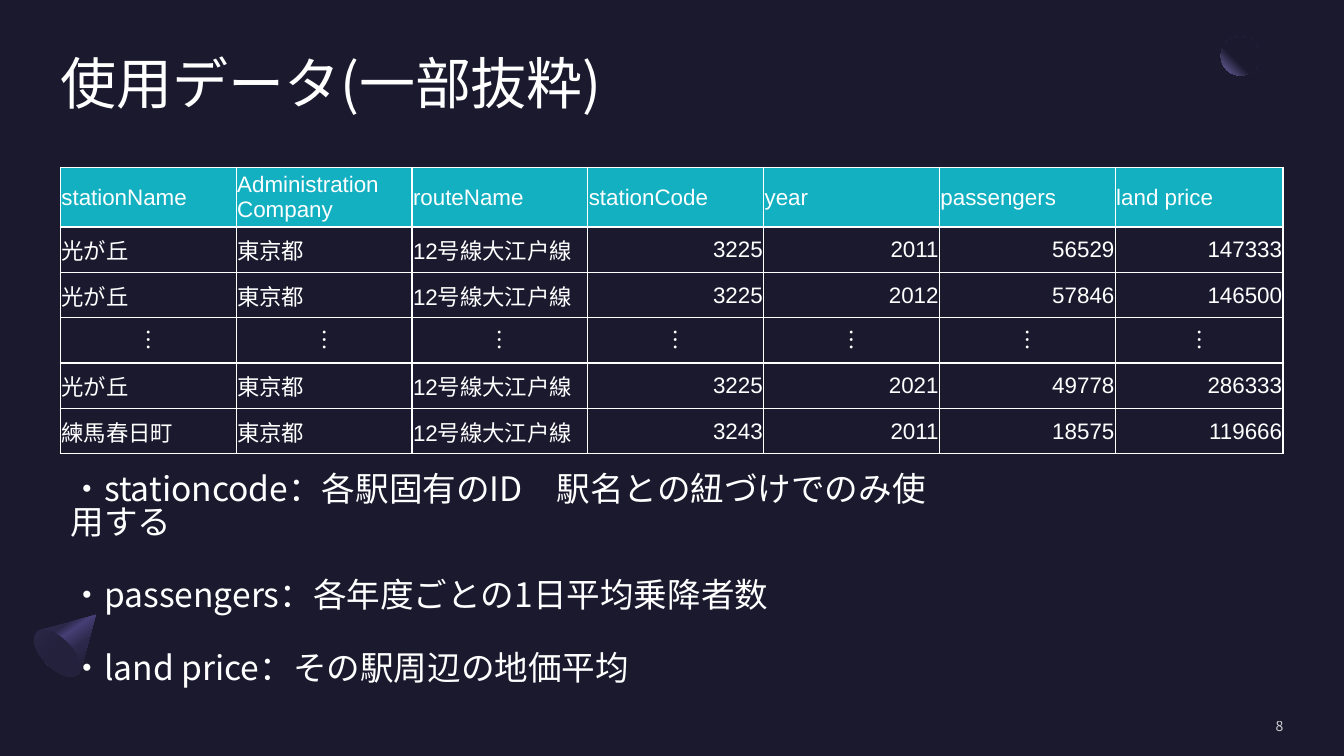
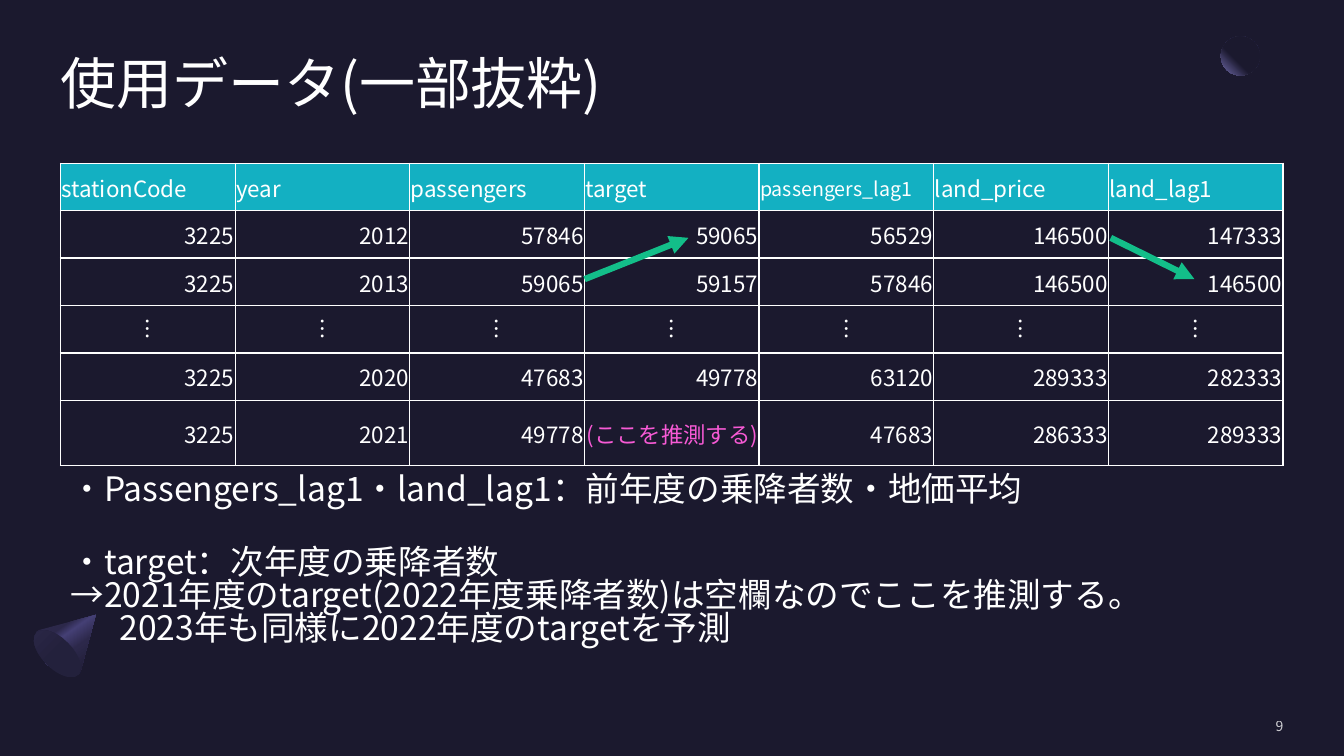
import dataclasses

import lxml.etree
import pptx
import pptx.dml.color
import pptx.enum.shapes
import pptx.enum.text
import pptx.oxml.ns
import pptx.util

Pt = pptx.util.Pt
qn = pptx.oxml.ns.qn
ALIGN = pptx.enum.text.PP_ALIGN
ANCHOR = pptx.enum.text.MSO_ANCHOR
SHAPE = pptx.enum.shapes.MSO_SHAPE
ELLIPSIS = "︙"


@dataclasses.dataclass(frozen=True)
class Theme:
    background: str = "1B192E"
    text: str = "FFFFFF"
    header: str = "13B0C2"
    accent: str = "F75AD5"
    arrow: str = "13BE89"
    glow: str = "7771B2"
    cone_light: str = "454075"
    cone_dark: str = "2C284A"
    cone_base: str = "23213C"
    font: str = "Noto Sans CJK JP"
    table_font: str = "Arial"
    title_size: int = 40
    body_size: int = 24
    table_size: int = 16
    small_table_size: int = 14
    number_size: int = 10
    left: float = 43.2
    width: float = 873.4


def rgb(value):
    return pptx.dml.color.RGBColor.from_string(value)


def assign(target, values):
    for name, value in values.items():
        setattr(target, name, value)


def add_node(parent, tag, **attributes):
    node = lxml.etree.SubElement(parent, qn(tag))
    for name, value in attributes.items():
        node.set(name, str(value))
    return node


class SlideBuilder:
    def __init__(self, theme):
        self.theme = theme
        self.deck = pptx.Presentation()
        assign(self.deck, {"slide_width": Pt(960), "slide_height": Pt(540)})
        self.layout = self.deck.slide_layouts[1]
        self.page = None

    def open_page(self, title, number):
        first = self.page is None
        self.page = self.deck.slides.add_slide(self.layout)
        if first:
            self.decorate_layout()
        self.add_title(title)
        self.add_number(number)

    def decorate_layout(self):
        theme = self.theme
        fill = self.layout.background.fill
        fill.solid()
        fill.fore_color.rgb = rgb(theme.background)
        shapes = self.page.shapes

        moon = shapes.add_shape(SHAPE.OVAL, Pt(872), Pt(26), Pt(28), Pt(28))
        self.paint_gradient(moon, [(60, theme.background), (100, theme.glow)])

        outline = [(68.4, 439.2), (57.6, 479.5), (56.2, 481.7), (46.3, 482.6),
                   (33.1, 474.5), (24.9, 461.3), (25.9, 451.4), (28.1, 450)]
        points = [(Pt(x), Pt(y)) for x, y in outline]
        builder = shapes.build_freeform(*points[0])
        builder.add_line_segments(points[1:], close=True)
        cone = builder.convert_to_shape()
        self.paint_gradient(cone, [(30, theme.cone_dark), (40, theme.cone_light),
                                   (60, theme.cone_dark), (100, theme.background)], 55)

        base = shapes.add_shape(SHAPE.OVAL, Pt(30.2), Pt(445.7), Pt(21.6), Pt(42.5))
        base.rotation = 135
        self.paint_gradient(base, [(50, theme.cone_base), (100, theme.cone_dark)], 90)

        for identifier, shape in enumerate((moon, cone, base), start=20):
            shape.element.nvSpPr.cNvPr.set("id", str(identifier))
            self.layout.shapes.element.append(shape.element)

    def paint_gradient(self, shape, stops, angle=None):
        shape.shadow.inherit = False
        shape.line.fill.background()
        shape.fill.background()
        properties = shape.element.spPr
        empty = properties.find(qn("a:noFill"))
        gradient = lxml.etree.Element(qn("a:gradFill"), rotWithShape="1")
        properties.replace(empty, gradient)
        stop_list = add_node(gradient, "a:gsLst")
        for position, color in stops:
            stop = add_node(stop_list, "a:gs", pos=position * 1000)
            add_node(stop, "a:srgbClr", val=color)
        if angle is None:
            radial = add_node(gradient, "a:path", **{"path": "circle"})
            add_node(radial, "a:fillToRect", l=100000, b=100000)
        else:
            add_node(gradient, "a:lin", ang=angle * 60000, scaled=0)

    def place(self, box, left, top, width, height):
        assign(box, {"left": Pt(left), "top": Pt(top),
                     "width": Pt(width), "height": Pt(height)})

    def format_frame(self, frame, anchor, inset=None):
        values = {"word_wrap": True, "vertical_anchor": anchor,
                  "auto_size": pptx.enum.text.MSO_AUTO_SIZE.NONE}
        if inset is not None:
            sides = ("left", "top", "right", "bottom")
            values.update({f"margin_{side}": Pt(inset) for side in sides})
        assign(frame, values)

    def format_span(self, span, size, color=None, font=None):
        assign(span.font, {"size": Pt(size), "name": font or self.theme.font})
        span.font.color.rgb = rgb(color or self.theme.text)
        latin = span.font._element.find(qn("a:latin"))
        east_asian = lxml.etree.Element(qn("a:ea"), typeface=self.theme.font)
        latin.addnext(east_asian)

    def add_title(self, text):
        box = self.page.shapes.title
        self.place(box, self.theme.left, 40.3, self.theme.width, 105)
        frame = box.text_frame
        frame.text = text
        self.format_frame(frame, ANCHOR.TOP, 0)
        para = frame.paragraphs[0]
        assign(para, {"alignment": ALIGN.LEFT, "line_spacing": 0.9})
        self.format_span(para.runs[0], self.theme.title_size)

    def add_number(self, number):
        box = self.page.shapes.add_textbox(Pt(783.4), Pt(512.6), Pt(133.2), Pt(12.2))
        frame = box.text_frame
        frame.text = str(number)
        self.format_frame(frame, ANCHOR.MIDDLE, 0)
        para = frame.paragraphs[0]
        para.alignment = ALIGN.RIGHT
        self.format_span(para.runs[0], self.theme.number_size)
        color = para.runs[0].font._element.find(".//" + qn("a:srgbClr"))
        add_node(color, "a:alpha", val=80000)

    def add_notes_list(self, lines, width):
        box = self.page.placeholders[1]
        self.place(box, self.theme.left, 336, width, 153)
        frame = box.text_frame
        frame.text = "\n".join(text for text, gap, indent in lines)
        self.format_frame(frame, ANCHOR.TOP)
        for para, (text, gap, indent) in zip(frame.paragraphs, lines):
            assign(para, {"alignment": ALIGN.LEFT, "line_spacing": 0.82,
                          "space_before": Pt(gap), "space_after": Pt(0)})
            properties = para._p.get_or_add_pPr()
            properties.set("marL", str(Pt(indent)))
            properties.set("indent", "0")
            add_node(properties, "a:buNone")
            self.format_span(para.runs[0], self.theme.body_size)

    def add_data_table(self, rows, top, widths, heights, font, text_columns=0, special=None):
        frame = self.page.shapes.add_table(
            len(rows), len(widths), Pt(self.theme.left), Pt(top),
            Pt(sum(widths)), Pt(sum(heights)))
        table = frame.table
        assign(table, {"first_row": False, "horz_banding": False})
        for column, width in zip(table.columns, widths):
            column.width = Pt(width)
        for row, height in zip(table.rows, heights):
            row.height = Pt(height)
        for row_index, values in enumerate(rows):
            for column_index, value in enumerate(values):
                is_header = row_index == 0
                if value == ELLIPSIS:
                    alignment = ALIGN.CENTER
                elif is_header or column_index < text_columns:
                    alignment = ALIGN.LEFT
                else:
                    alignment = ALIGN.RIGHT
                style = {"size": self.theme.table_size,
                         "font": self.theme.table_font if value == ELLIPSIS else font}
                style.update((special or {}).get(value, {}))
                self.fill_cell(table.cell(row_index, column_index), value,
                               is_header, alignment, style)

    def fill_cell(self, cell, value, is_header, alignment, style):
        cell.text = value
        assign(cell, {"vertical_anchor": ANCHOR.MIDDLE, "margin_left": Pt(0.7),
                      "margin_top": Pt(0.7), "margin_right": Pt(0.7),
                      "margin_bottom": Pt(0)})
        properties = cell._tc.get_or_add_tcPr()
        for tag in ("a:lnL", "a:lnR", "a:lnT", "a:lnB"):
            border = add_node(properties, tag, w=Pt(1))
            add_node(add_node(border, "a:solidFill"), "a:srgbClr", val=self.theme.text)
        if is_header:
            cell.fill.solid()
            cell.fill.fore_color.rgb = rgb(self.theme.header)
        else:
            cell.fill.background()
        for para in cell.text_frame.paragraphs:
            para.alignment = alignment
            for span in para.runs:
                self.format_span(span, **style)

    def add_arrow(self, start, end):
        ends = [Pt(value) for value in (*start, *end)]
        arrow = self.page.shapes.add_connector(
            pptx.enum.shapes.MSO_CONNECTOR.STRAIGHT, *ends)
        arrow.line.width = Pt(4.5)
        arrow.line.color.rgb = rgb(self.theme.arrow)
        add_node(arrow.line._get_or_add_ln(), "a:tailEnd", type="triangle")
        add_node(arrow.element.spPr, "a:effectLst")


def main():
    theme = Theme()
    builder = SlideBuilder(theme)
    title = "使用データ(一部抜粋)"
    line_gap = 28.5

    builder.open_page(title, 8)
    place = ["東京都", "12号線大江戸線"]
    station_rows = [
        ["stationName", "Administration\nCompany", "routeName", "stationCode",
         "year", "passengers", "land price"],
        ["光が丘", *place, "3225", "2011", "56529", "147333"],
        ["光が丘", *place, "3225", "2012", "57846", "146500"],
        [ELLIPSIS] * 7,
        ["光が丘", *place, "3225", "2021", "49778", "286333"],
        ["練馬春日町", *place, "3243", "2011", "18575", "119666"],
    ]
    builder.add_data_table(station_rows, 119.5, [125.6] * 6 + [119.8],
                           [42.6] + [32.4] * 5, theme.table_font, text_columns=3)
    builder.add_notes_list([
        ("・stationcode：各駅固有のID　駅名との紐づけでのみ使用する", 0, 0),
        ("・passengers：各年度ごとの1日平均乗降者数", line_gap, 0),
        ("・land price：その駅周辺の地価平均", line_gap, 0),
    ], 643)

    builder.open_page(title, 9)
    lag_rows = [
        ["stationCode", "year", "passengers", "target", "passengers_lag1",
         "land_price", "land_lag1"],
        ["3225", "2012", "57846", "59065", "56529", "146500", "147333"],
        ["3225", "2013", "59065", "59157", "57846", "146500", "146500"],
        [ELLIPSIS] * 7,
        ["3225", "2020", "47683", "49778", "63120", "289333", "282333"],
        ["3225", "2021", "49778", "(ここを推測する)", "47683", "286333", "289333"],
    ]
    builder.add_data_table(lag_rows, 116.6, [theme.width / 7] * 7, [33.9] * 6, theme.font,
                           special={"passengers_lag1": {"size": theme.small_table_size},
                                    "(ここを推測する)": {"color": theme.accent}})
    builder.add_notes_list([
        ("・Passengers_lag1・land_lag1：前年度の乗降者数・地価平均", 0, 0),
        ("・target：次年度の乗降者数", line_gap, 0),
        ("→2021年度のtarget(2022年度乗降者数)は空欄なのでここを推測する。", 0, 0),
        ("2023年も同様に2022年度のtargetを予測", 0, 35),
    ], theme.width)
    builder.add_arrow((417.6, 199.4), (491.8, 169.9))
    builder.add_arrow((793.4, 169.9), (853.2, 199.4))

    builder.deck.save("out.pptx")


if __name__ == "__main__":
    main()
